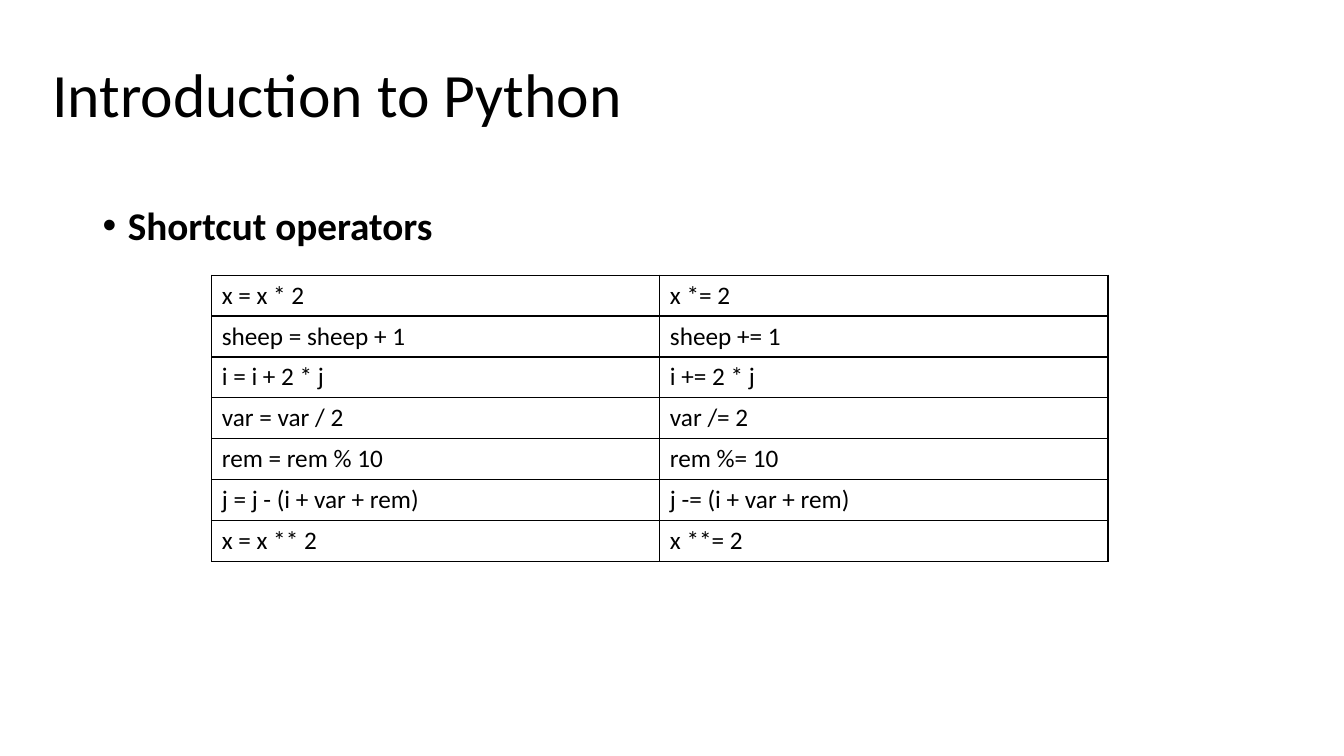
"""Build a slide that lists Python's shortcut operators in a table."""
from lxml.etree import SubElement
from pptx import Presentation
from pptx.dml.color import RGBColor
from pptx.enum.text import MSO_ANCHOR, MSO_AUTO_SIZE, PP_ALIGN
from pptx.oxml.ns import qn
from pptx.util import Inches, Pt

BLACK = "000000"
OPERATORS = [
    ("x = x * 2", "x *= 2"),
    ("sheep = sheep + 1", "sheep += 1"),
    ("i = i + 2 * j", "i += 2 * j"),
    ("var = var / 2", "var /= 2"),
    ("rem = rem % 10", "rem %= 10"),
    ("j = j - (i + var + rem)", "j -= (i + var + rem)"),
    ("x = x ** 2", "x **= 2"),
]


def color(value):
    """Turn a hex string into a colour."""
    return RGBColor.from_string(value)


def write(para, text, size, bold=False):
    """Add one formatted span to a paragraph."""
    span = para.add_run()
    span.text = text
    formats = {"name": "Calibri", "size": Pt(size), "bold": bold}
    for name, value in formats.items():
        setattr(span.font, name, value)
    span.font.color.rgb = color(BLACK)


deck = Presentation()
deck.slide_width, deck.slide_height = Inches(13.33), Inches(7.5)
page = deck.slides.add_slide(deck.slide_layouts[5])
page.background.fill.solid()
page.background.fill.fore_color.rgb = color("FFFFFF")

title = page.shapes.title
place = {"left": 0.42, "top": 0.24, "width": 11.5, "height": 1.45}
for name, value in place.items():
    setattr(title, name, Inches(value))
frame_format = {
    "vertical_anchor": MSO_ANCHOR.MIDDLE,
    "auto_size": MSO_AUTO_SIZE.NONE,
    "word_wrap": True,
}
for name, value in frame_format.items():
    setattr(title.text_frame, name, value)
title_para = title.text_frame.paragraphs[0]
title_para.alignment = PP_ALIGN.LEFT
title_para.line_spacing = 0.9
write(title_para, "Introduction to Python", 44)

box = page.shapes.add_textbox(Inches(0.92), Inches(2), Inches(11.5), Inches(4.76))
box.text_frame.word_wrap = True
bullet_para = box.text_frame.paragraphs[0]
bullet_para.line_spacing = 0.9
bullet_para.space_before = Pt(10)
properties = bullet_para._p.get_or_add_pPr()
properties.set("marL", str(Inches(0.25)))
properties.set("indent", str(Inches(-0.25)))
SubElement(properties, qn("a:buFont"), typeface="Arial")
SubElement(properties, qn("a:buChar"), char="•")
write(bullet_para, "Shortcut operators", 28, bold=True)

table = page.shapes.add_table(
    len(OPERATORS), 2, Inches(2.1), Inches(2.73), Inches(8.89), Inches(2.84)
).table
table.first_row = table.horz_banding = False
for row, pair in enumerate(OPERATORS):
    for column, text in enumerate(pair):
        cell = table.cell(row, column)
        write(cell.text_frame.paragraphs[0], text, 18)
        cell_properties = cell._tc.get_or_add_tcPr()
        for side in ("a:lnL", "a:lnR", "a:lnT", "a:lnB"):
            border = SubElement(cell_properties, qn(side), w=str(Pt(1)))
            border_fill = SubElement(border, qn("a:solidFill"))
            SubElement(border_fill, qn("a:srgbClr"), val=BLACK)
        cell.fill.background()

deck.save("out.pptx")
